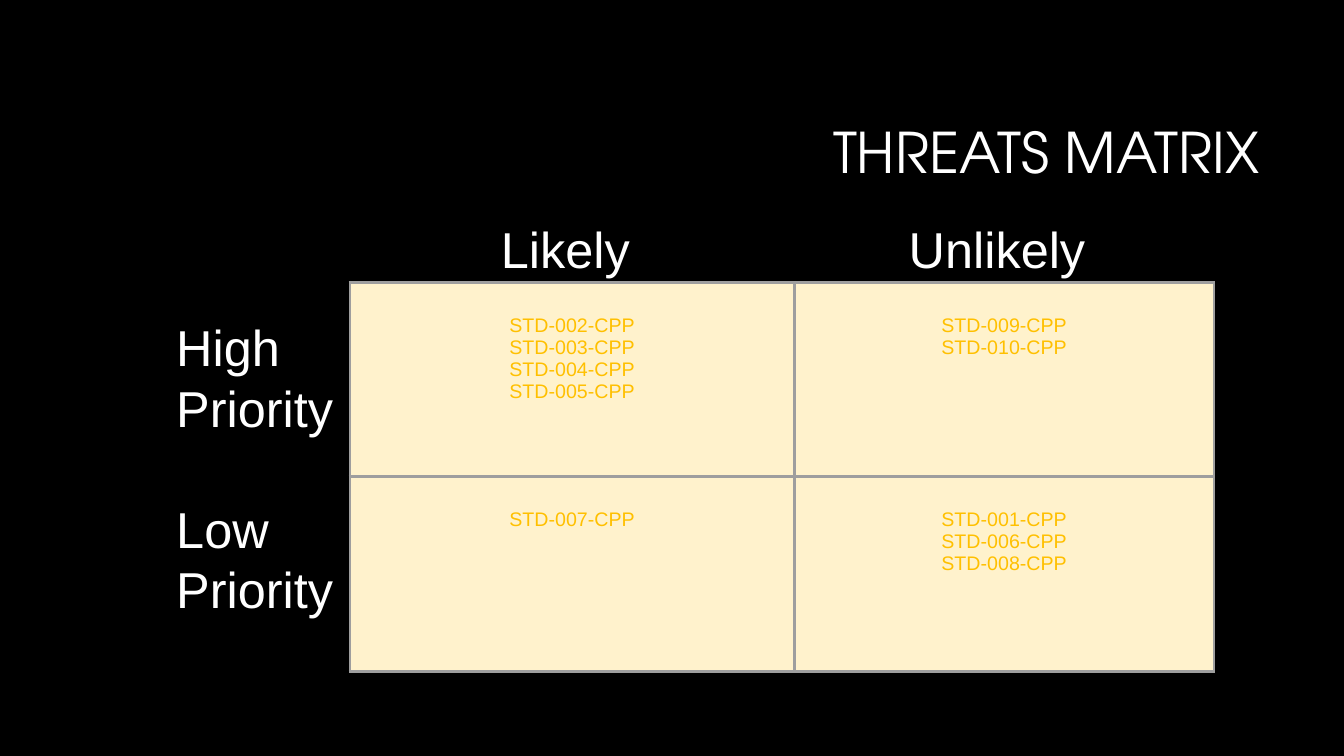
from lxml import etree
from pptx import Presentation
from pptx.dml.color import RGBColor
from pptx.enum.text import MSO_ANCHOR, PP_ALIGN
from pptx.oxml.ns import qn
from pptx.util import Inches, Pt

LEFT, CENTER, RIGHT = PP_ALIGN.LEFT, PP_ALIGN.CENTER, PP_ALIGN.RIGHT
TOP, MIDDLE = MSO_ANCHOR.TOP, MSO_ANCHOR.MIDDLE
SLIDE_SIZE = 13.33, 7.5
BLANK_LAYOUT = 6
BLACK, WHITE, CREAM, AMBER, GRAY = "000000", "FFFFFF", "FFF2CC", "FFC000", "9E9E9E"
BODY_FONT, TITLE_FONT = "Arial", "TeX Gyre Adventor"

COLUMN_WIDTHS = 4.41, 4.16
ROW_HEIGHT = 1.93
COLUMN_LABELS = ("Likely", 1.49), ("Unlikely", 1.97)
ROW_LABELS = "High\nPriority", "Low\nPriority"
THREATS = (
    ("STD-002-CPP\nSTD-003-CPP\nSTD-004-CPP\nSTD-005-CPP", "STD-009-CPP\nSTD-010-CPP"),
    ("STD-007-CPP", "STD-001-CPP\nSTD-006-CPP\nSTD-008-CPP"),
)


def color(hex_code):
    """Turn a hex string into a colour."""
    return RGBColor.from_string(hex_code)


def write(frame, text, size=36, font=BODY_FONT, ink=WHITE, align=LEFT, spacing=None):
    """Fill a text frame with one formatted paragraph for each line of text."""
    for index, line in enumerate(text.split("\n")):
        para = frame.paragraphs[0] if index == 0 else frame.add_paragraph()
        para.alignment = align
        para.line_spacing = spacing
        span = para.add_run()
        span.text = line
        span.font.size = Pt(size)
        span.font.name = font
        span.font.color.rgb = color(ink)


def add_text(page, area, text, wrap=False, anchor=TOP, **style):
    """Place a text box in the given area."""
    box = page.shapes.add_textbox(*map(Inches, area))
    box.text_frame.word_wrap = wrap
    box.text_frame.vertical_anchor = anchor
    write(box.text_frame, text, **style)


def outline(cell, ink, width):
    """Draw all four borders of a table cell."""
    properties = cell._tc.get_or_add_tcPr()
    for side in ("a:lnL", "a:lnR", "a:lnT", "a:lnB"):
        line = etree.SubElement(properties, qn(side), w=str(Pt(width)))
        fill = etree.SubElement(line, qn("a:solidFill"))
        etree.SubElement(fill, qn("a:srgbClr"), val=ink)


def add_matrix(page, left, top):
    """Place the grid of threats at the given corner."""
    width, height = sum(COLUMN_WIDTHS), ROW_HEIGHT * len(THREATS)
    area = map(Inches, (left, top, width, height))
    table = page.shapes.add_table(len(THREATS), len(COLUMN_WIDTHS), *area).table
    table.first_row = table.horz_banding = False
    for column, column_width in zip(table.columns, COLUMN_WIDTHS):
        column.width = Inches(column_width)
    for row, threats in zip(table.rows, THREATS):
        row.height = Inches(ROW_HEIGHT)
        for cell, text in zip(row.cells, threats):
            outline(cell, GRAY, 2.25)
            cell.fill.solid()
            cell.fill.fore_color.rgb = color(CREAM)
            cell.margin_left = cell.margin_right = cell.margin_bottom = Inches(0.1)
            cell.margin_top = Inches(0.32)
            write(cell.text_frame, text, size=14, ink=AMBER, align=CENTER)


def add_labels(page, left, top):
    """Place the column and row labels around the matrix corner."""
    column_left = left
    for (text, width), column_width in zip(COLUMN_LABELS, COLUMN_WIDTHS):
        label_left = column_left + (column_width - width) / 2 - 0.06
        add_text(page, (label_left, top - 0.69, width, 0.71), text)
        column_left += column_width
    for index, text in enumerate(ROW_LABELS):
        add_text(page, (left - 1.82, top + 0.29 + index * 1.8, 1.77, 1.31), text)


def build_threats_slide(deck):
    """Add the threats matrix slide."""
    page = deck.slides.add_slide(deck.slide_layouts[BLANK_LAYOUT])
    page.background.fill.solid()
    page.background.fill.fore_color.rgb = color(BLACK)
    add_text(page, (3.17, 0.84, 9.42, 1.41), "THREATS MATRIX", wrap=True, anchor=MIDDLE,
             size=40, font=TITLE_FONT, align=RIGHT, spacing=0.9)
    add_matrix(page, 3.47, 2.8)
    add_labels(page, 3.47, 2.8)


def main():
    """Build and save the deck."""
    deck = Presentation()
    deck.slide_width, deck.slide_height = map(Inches, SLIDE_SIZE)
    build_threats_slide(deck)
    deck.save("out.pptx")


if __name__ == "__main__":
    main()
